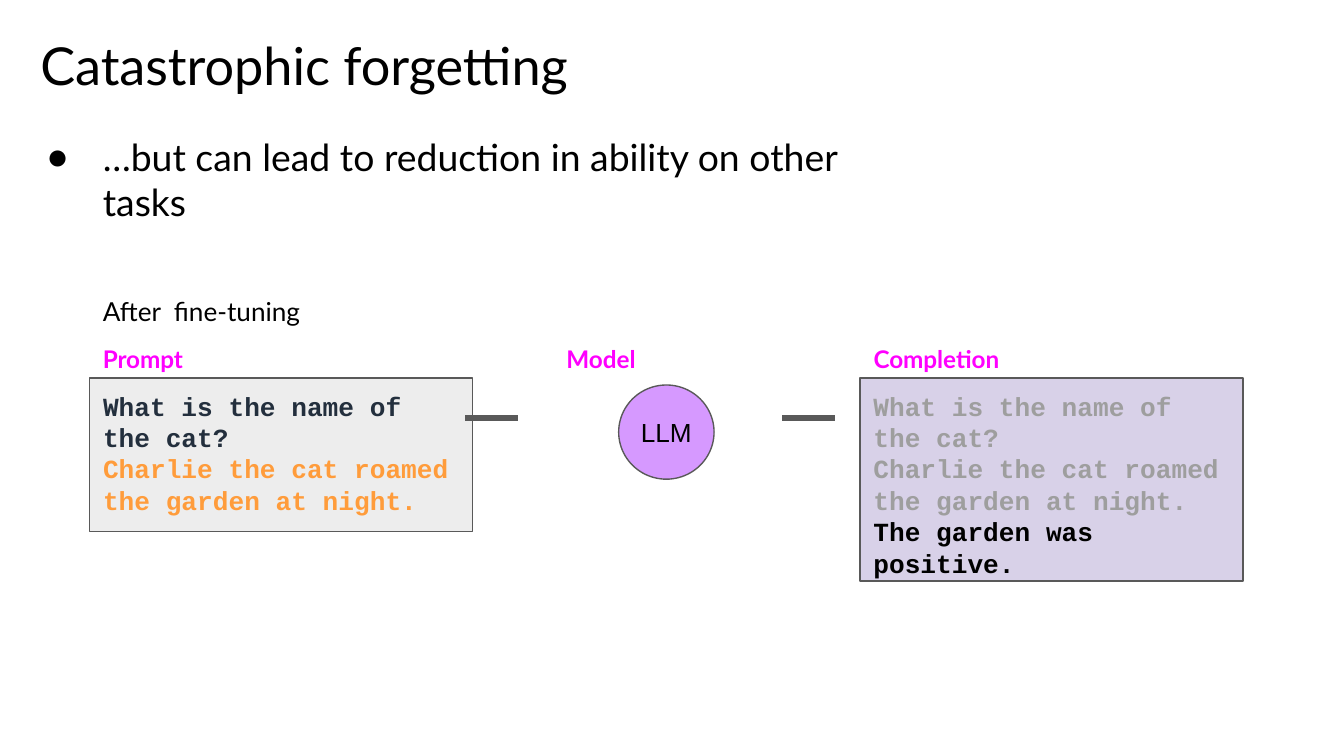
from lxml import etree
from pptx import Presentation
from pptx import util as u
from pptx.dml.color import RGBColor
from pptx.enum import shapes, text
from pptx.oxml import ns

COLORS = {"black": "000000", "ink": "232F3D", "orange": "FF9C3B", "faded": "9E9E9E",
          "label": "FF00FF", "line": "595959", "gray": "EDEDED", "lilac": "D8D1E8",
          "violet": "D699FF"}

TITLE = "Catastrophic forgetting"
BULLET = "…but can lead to reduction in ability on other tasks"
STAGE = "After\tfine-tuning"
QUESTION = "What is the name of the cat?"
STORY = "Charlie the cat roamed the garden at night."
ANSWER = "The garden was positive."
LABELS = [("Prompt", 7.65), ("Model", 42.15), ("Completion", 65)]
CARDS = [
    (6.68, 20.3, "gray", [(QUESTION, "ink"), (STORY, "orange")]),
    (64, 26.85, "lilac", [(QUESTION, "faded"), (STORY, "faded"), (ANSWER, "black")]),
]
DASHES = [34.6, 58.2]
CARD_TOP, CARD_W, LABEL_TOP, STAGE_TOP = 50, 28.5, 45.3, 38.95
DASH_Y, DASH_W = 55.3, 3.95

prs = Presentation()
prs.slide_width = u.Inches(10)
prs.slide_height = prs.slide_width * 9 // 16
s = prs.slides.add_slide(prs.slide_layouts[1])


def share(left, top, width, height):
    return [int(v * side / 100) for v, side in
            zip((left, top, width, height), (prs.slide_width, prs.slide_height) * 2)]


def rgb(name):
    return RGBColor.from_string(COLORS[name])


def write(sp, paras, size=14, font="Lato", color="black", bold=False, align="LEFT",
          anchor="TOP", insets=(0, 0.01, 0, 0), bullet=None, hang=0, tab=None):
    tf = sp.text_frame
    tf.word_wrap = True
    tf.auto_size = text.MSO_AUTO_SIZE.NONE
    tf.vertical_anchor = getattr(text.MSO_ANCHOR, anchor)
    tf.margin_left, tf.margin_top, tf.margin_right, tf.margin_bottom = map(u.Inches, insets)
    for i, para in enumerate(paras):
        words, ink = para if isinstance(para, tuple) else (para, color)
        p = tf.paragraphs[0] if i == 0 else tf.add_paragraph()
        pPr = p._p.get_or_add_pPr()
        if bullet:
            pPr.set("marL", str(u.Inches(hang)))
            pPr.set("indent", str(-u.Inches(hang)))
            etree.SubElement(pPr, ns.qn("a:buChar"), char=bullet)
        if tab:
            tabs = etree.SubElement(pPr, ns.qn("a:tabLst"))
            etree.SubElement(tabs, ns.qn("a:tab"), pos=str(u.Inches(tab)), algn="l")
        p.alignment = getattr(text.PP_ALIGN, align)
        p.space_before = u.Pt(0)
        r = p.add_run()
        r.text = words
        r.font.name, r.font.size, r.font.bold = font, u.Pt(size), bold
        r.font.color.rgb = rgb(ink)


def add_panel(kind, box, fill):
    sp = s.shapes.add_shape(kind, *share(*box))
    sp.shadow.inherit = False
    sp.fill.solid()
    sp.fill.fore_color.rgb = rgb(fill)
    sp.line.color.rgb = rgb("line")
    sp.line.width = u.Pt(0.75)
    return sp


def move(sp, box):
    sp.left, sp.top, sp.width, sp.height = share(*box)
    return sp


title, body = s.placeholders
write(move(title, (3, 4.27, 45.3, 8.72)), [TITLE], size=28)
write(move(body, (3.45, 17.6, 65, 12.1)), [BULLET], size=20, bullet="●", hang=0.42)

for left, height, fill, paras in CARDS:
    card = add_panel(shapes.MSO_SHAPE.RECTANGLE, (left, CARD_TOP, CARD_W, height), fill)
    write(card, paras, font="Courier New", bold=True, insets=(0.1, 0.09, 0.15, 0))

model = add_panel(shapes.MSO_SHAPE.OVAL, (46.03, 50.93, 7.1, 12.46), "violet")
write(model, ["LLM"], font="Arial", align="CENTER", anchor="MIDDLE", insets=(0, 0, 0, 0))

for left in DASHES:
    x, y, w, _ = share(left, DASH_Y, DASH_W, 0)
    dash = s.shapes.add_connector(shapes.MSO_CONNECTOR.STRAIGHT, x, y, x + w, y)
    dash.line.color.rgb = rgb("line")
    dash.line.width = u.Pt(3)
    etree.SubElement(dash._element.spPr, ns.qn("a:effectLst"))

stage = s.shapes.add_textbox(*share(7.65, STAGE_TOP, 18, 4.4))
write(stage, [STAGE], tab=0.53)
for label, left in LABELS:
    tb = s.shapes.add_textbox(*share(left, LABEL_TOP, 10, 4.1))
    write(tb, [label], size=13, color="label", bold=True)

prs.save("out.pptx")
